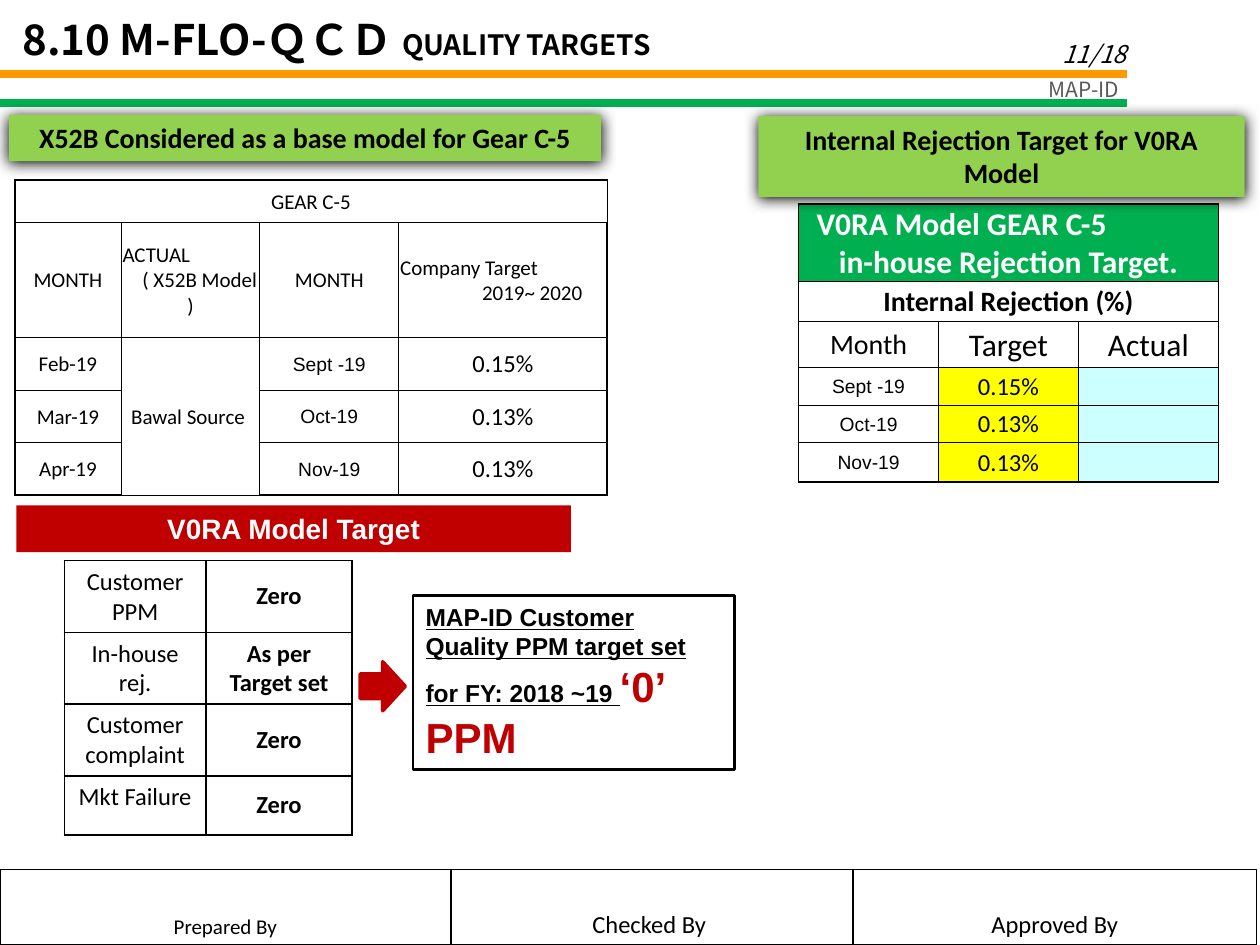
from lxml import etree
from pptx import Presentation
from pptx.dml.color import RGBColor
from pptx.enum.shapes import MSO_CONNECTOR, MSO_SHAPE
from pptx.enum.text import MSO_ANCHOR, PP_ALIGN
from pptx.oxml import parse_xml
from pptx.oxml.ns import nsdecls, qn
from pptx.util import Cm, Pt

BLACK = RGBColor(0x00, 0x00, 0x00)
WHITE = RGBColor(0xFF, 0xFF, 0xFF)
GRAY = RGBColor(0x59, 0x59, 0x59)
ORANGE = RGBColor(0xFF, 0x99, 0x00)
GREEN = RGBColor(0x00, 0xB0, 0x50)
LIME = RGBColor(0x92, 0xD0, 0x50)
RED = RGBColor(0xC0, 0x00, 0x00)
YELLOW = RGBColor(0xFF, 0xFF, 0x00)
CYAN = RGBColor(0xCC, 0xFF, 0xFF)
NOTO = "Noto Sans CJK JP"
CENTER, LEFT, RIGHT = PP_ALIGN.CENTER, PP_ALIGN.LEFT, PP_ALIGN.RIGHT
MIDDLE, TOP, BOTTOM = MSO_ANCHOR.MIDDLE, MSO_ANCHOR.TOP, MSO_ANCHOR.BOTTOM


def write(tf, text, size, font="Calibri", color=BLACK, bold=False, align=CENTER):
    tf.word_wrap = True
    tf.text = text
    for p in tf.paragraphs:
        p.alignment = align
        for r in p.runs:
            r.font.size = Pt(size)
            r.font.name = font
            r.font.bold = bold
            r.font.color.rgb = color
            etree.SubElement(r._r.get_or_add_rPr(), qn("a:ea"), typeface=font)


def add_grid(left, top, cols, rows, margins, inner):
    frame = s.shapes.add_table(len(rows), len(cols), Cm(left), Cm(top),
                               Cm(sum(cols)), Cm(sum(rows)))
    table = frame.table
    for col, width in zip(table.columns, cols):
        col.width = Cm(width)
    for row, height in zip(table.rows, rows):
        row.height = Cm(height)
    for i in range(len(rows)):
        for j in range(len(cols)):
            cell = table.cell(i, j)
            cell.vertical_anchor = MIDDLE
            cell.margin_left = cell.margin_right = Cm(margins[0])
            cell.margin_top, cell.margin_bottom = Cm(margins[1]), Cm(margins[2])
            edges = {"L": j == 0, "R": j == len(cols) - 1,
                     "T": i == 0, "B": i == len(rows) - 1}
            for side, outer in edges.items():
                width = Pt(1 if outer else inner)
                cell._tc.get_or_add_tcPr().append(parse_xml(
                    f'<a:ln{side} {nsdecls("a")} w="{width}"><a:solidFill>'
                    f'<a:srgbClr val="{BLACK}"/></a:solidFill></a:ln{side}>'))
            cell.fill.background()
    return table


prs = Presentation()
prs.slide_width, prs.slide_height = Cm(25.4), Cm(19.05)
s = prs.slides.add_slide(prs.slide_layouts[5])

title = s.shapes.title
title.left, title.top, title.width, title.height = Cm(0.2), Cm(0.15), Cm(22.56), Cm(1.27)
write(title.text_frame, "8.10 M-FLO-ＱＣＤ \nQUALITY TARGETS", 24, NOTO, bold=True, align=LEFT)
tf = title.text_frame
tf.vertical_anchor = TOP
first, second = tf.paragraphs
subtitle = second.runs[0]
subtitle.font.size = Pt(16)
first._p.append(subtitle._r)
tf._txBody.remove(second._p)

for text, box, size, color, anchor in [
    ("11/18", (17.68, 0.23, 5.28, 1.27), 14, BLACK, BOTTOM),
    ("MAP-ID", (19, 1.42, 3.81, 0.76), 12, GRAY, TOP),
]:
    sp = s.shapes.add_textbox(*[Cm(v) for v in box])
    write(sp.text_frame, text, size, NOTO, color, align=RIGHT)
    sp.text_frame.vertical_anchor = anchor
    sp.text_frame.paragraphs[0].runs[0].font.italic = text == "11/18"

for y, color in [(1.5, ORANGE), (2.08, GREEN)]:
    line = s.shapes.add_connector(MSO_CONNECTOR.STRAIGHT, Cm(0), Cm(y), Cm(22.72), Cm(y))
    line.line.color.rgb = color
    line.line.width = Pt(4.5)
    etree.SubElement(line._element.spPr, qn("a:effectLst"))

goals = [("Customer PPM", "Zero"), ("In-house rej.", "As per Target set"),
         ("Customer complaint", "Zero"), ("Mkt Failure", "Zero")]
table = add_grid(1.3, 11.3, [2.85, 2.95], [1.44, 1.44, 1.44, 1.19], (0.25, 0.13, 0.13), 1)
for i, (goal, target) in enumerate(goals):
    write(table.cell(i, 0).text_frame, goal, 14)
    table.cell(i, 0).vertical_anchor = TOP
    write(table.cell(i, 1).text_frame, target, 14, bold=True)

months = [("Feb-19", "Sept -19", "0.15%"), ("Mar-19", "Oct-19", "0.13%"),
          ("Apr-19", "Nov-19", "0.13%")]
slim = (0.03, 0.03, 0)

table = add_grid(16.1, 4.11, [2.82] * 3, [1.55, 0.81, 0.94, 0.75, 0.75, 0.8], slim, 0.5)
for i in range(2):
    table.cell(i, 0).merge(table.cell(i, 2))
head = table.cell(0, 0)
head.fill.solid()
head.fill.fore_color.rgb = GREEN
write(head.text_frame, "V0RA Model GEAR C-5\nin-house Rejection Target.", 18, color=WHITE, bold=True)
p = head.text_frame.paragraphs[0]
p.alignment = LEFT
p._p.get_or_add_pPr().set("marL", str(Cm(0.33)))
write(table.cell(1, 0).text_frame, "Internal Rejection (%)", 16, bold=True)
for j, (text, size) in enumerate([("Month", 16), ("Target", 18), ("Actual", 18)]):
    write(table.cell(2, j).text_frame, text, size)
for i, (_, month, target) in enumerate(months, 3):
    write(table.cell(i, 0).text_frame, month, 11, "Arial")
    write(table.cell(i, 1).text_frame, target, 14)
    p = table.cell(i, 2).text_frame.paragraphs[0]
    etree.SubElement(p._p, qn("a:endParaRPr"), sz="1100")
    for j, color in [(1, YELLOW), (2, CYAN)]:
        table.cell(i, j).fill.solid()
        table.cell(i, j).fill.fore_color.rgb = color

table = add_grid(0.3, 3.63, [2.14, 2.8, 2.8, 4.2], [0.86, 2.31, 1.06, 1.06, 1.06], slim, 0.5)
table.cell(0, 0).merge(table.cell(0, 3))
table.cell(2, 1).merge(table.cell(4, 1))
write(table.cell(0, 0).text_frame, "GEAR C-5", 12)
heads = ["MONTH", "ACTUAL\n( X52B Model\n)", "MONTH", "Company Target\n2019~ 2020"]
for j, text in enumerate(heads):
    write(table.cell(1, j).text_frame, text, 12)
for j, indent in [(1, 0.4), (3, 1.65)]:
    ps = table.cell(1, j).text_frame.paragraphs
    ps[0].alignment = ps[1].alignment = LEFT
    ps[1]._p.get_or_add_pPr().set("marL", str(Cm(indent)))
write(table.cell(2, 1).text_frame, "Bawal Source ", 12)
for i, (past, month, target) in enumerate(months, 2):
    write(table.cell(i, 0).text_frame, past, 12)
    write(table.cell(i, 2).text_frame, month, 11, "Arial")
    write(table.cell(i, 3).text_frame, target, 14)

boxes = [
    ("V0RA Model Target", (0.33, 10.19, 11.18, 0.94), RED, 16, "Arial", WHITE, True, TOP),
    ("", (7.26, 13.34, 0.91, 0.99), RED, 12, "Arial", WHITE, False, TOP),
    ("MAP-ID Customer Quality PPM target set for FY: 2018 ~19 \n‘0’ PPM",
     (8.33, 12.01, 6.48, 3.51), None, 14, "Arial", BLACK, True, TOP),
    ("Internal Rejection Target for V0RA Model", (15.29, 2.34, 9.8, 1.63),
     LIME, 16, "Calibri", BLACK, True, TOP),
    ("X52B Considered as a base model for Gear C-5", (0.18, 2.31, 11.94, 0.94),
     LIME, 16, "Calibri", BLACK, True, TOP),
    ("Prepared By", (0, 17.53, 9.09, 1.52), None, 12, "Calibri", BLACK, False, BOTTOM),
    ("Checked By ", (9.09, 17.53, 8.11, 1.52), None, 14, "Calibri", BLACK, False, BOTTOM),
    ("Approved By", (17.2, 17.53, 8.13, 1.52), None, 14, "Calibri", BLACK, False, BOTTOM),
]
for text, box, fill, size, font, color, bold, anchor in boxes:
    kind = MSO_SHAPE.RECTANGLE if text else MSO_SHAPE.RIGHT_ARROW
    sp = s.shapes.add_shape(kind, *[Cm(v) for v in box])
    sp.shadow.inherit = False
    if fill is None:
        sp.fill.background()
        sp.line.color.rgb = BLACK
        sp.line.width = Pt(0.75)
    else:
        sp.fill.solid()
        sp.fill.fore_color.rgb = fill
        sp.line.fill.background()
    if fill == LIME:
        effects = sp._element.spPr.find(qn("a:effectLst"))
        shadow = etree.SubElement(effects, qn("a:outerShdw"), blurRad=str(Pt(8.5)),
                                  dist=str(Pt(1)), dir="5400000")
        etree.SubElement(shadow, qn("a:srgbClr"), val=str(BLACK))
    if not text:
        sp.line.color.rgb = RED
        sp.line.width = Pt(2)
        continue
    write(sp.text_frame, text, size, font, color, bold)
    sp.text_frame.vertical_anchor = anchor
    if text.startswith("MAP-ID"):
        sp.line.width = Pt(1.5)
        first, second = sp.text_frame.paragraphs
        first.alignment = LEFT
        first.runs[0].font.underline = True
        r = second.runs[0]
        r.font.size = Pt(24)
        r.font.color.rgb = RED
        first._p.append(r._r)
        sp.text_frame._txBody.remove(second._p)

prs.save("out.pptx")
